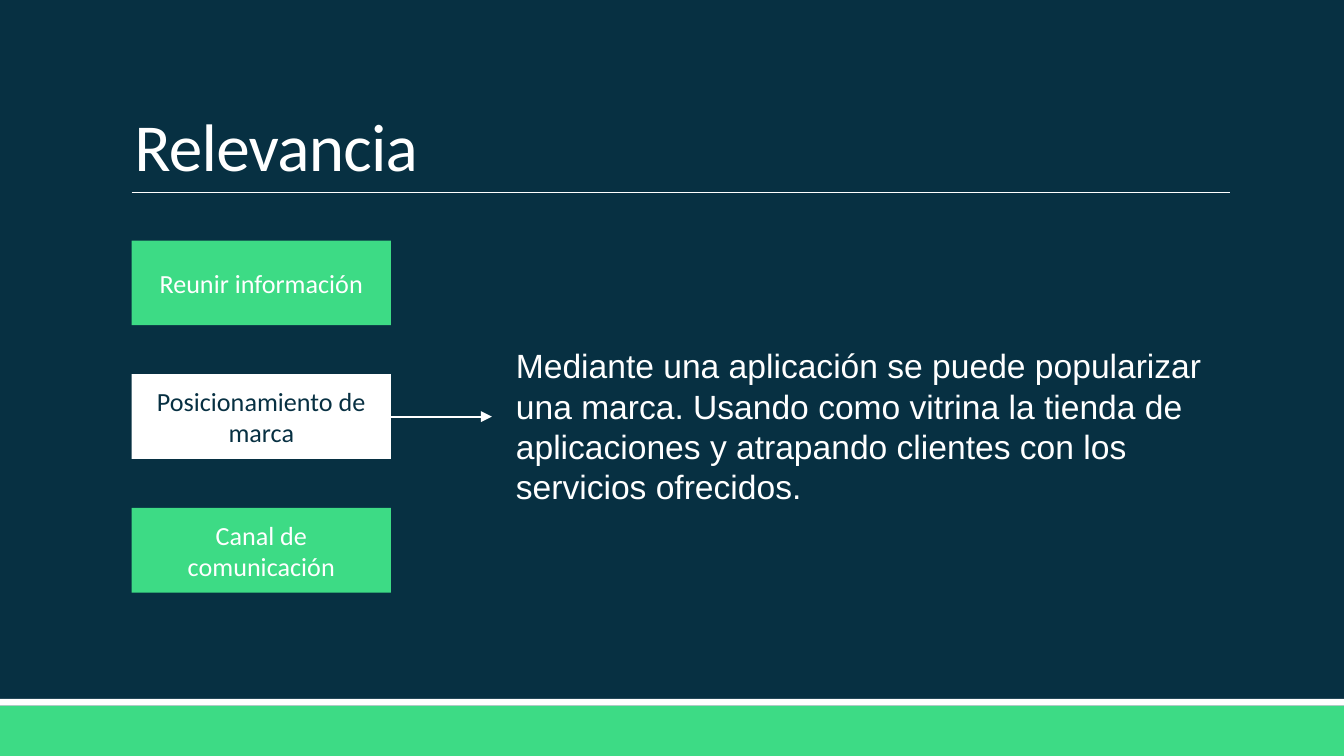
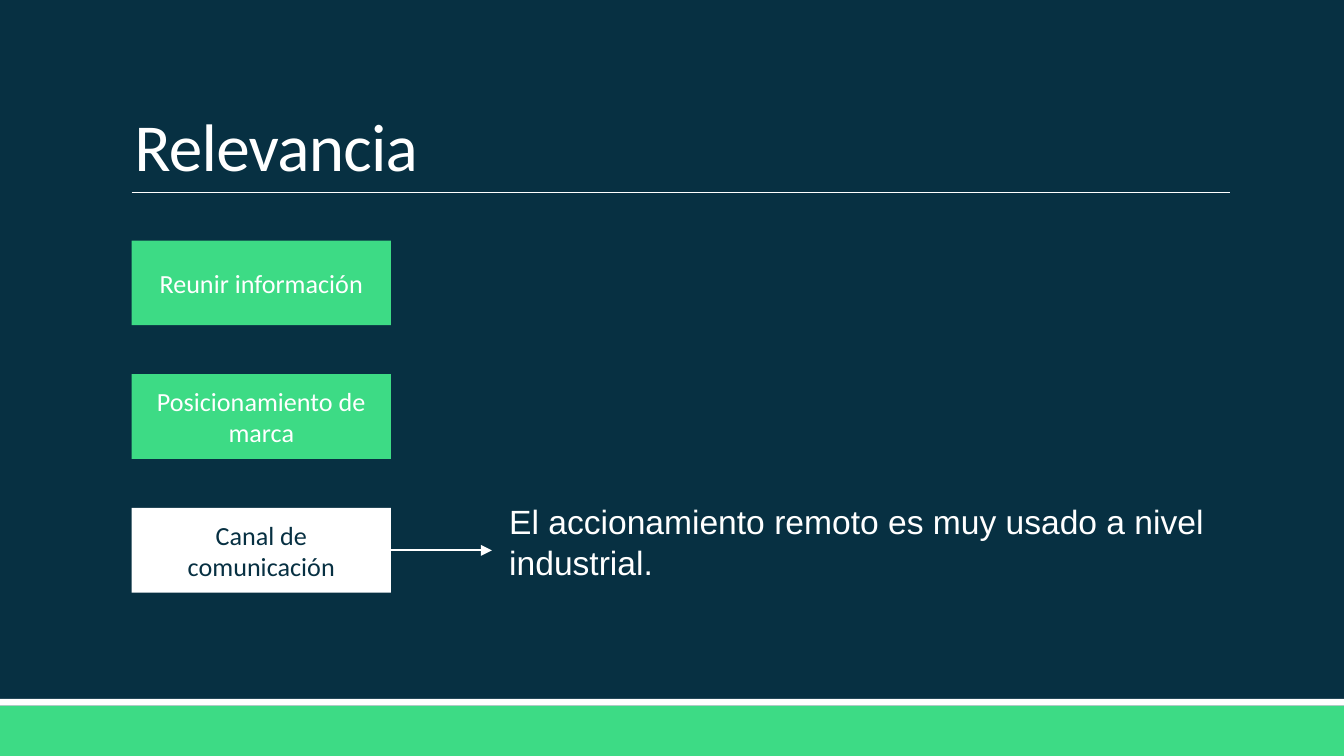
import pptx
import pptx.util
import pptx.dml.color
import pptx.enum.shapes
import pptx.enum.text
import pptx.oxml.ns
import lxml.etree

Inches = pptx.util.Inches
Pt = pptx.util.Pt
ALIGN = pptx.enum.text.PP_ALIGN
ANCHOR = pptx.enum.text.MSO_ANCHOR
AUTO_SIZE = pptx.enum.text.MSO_AUTO_SIZE
RECTANGLE = pptx.enum.shapes.MSO_SHAPE.RECTANGLE
STRAIGHT = pptx.enum.shapes.MSO_CONNECTOR.STRAIGHT
qn = pptx.oxml.ns.qn

COLOURS = {"navy": "073042", "green": "3DDB85", "white": "FFFFFF"}
RGB = {name: pptx.dml.color.RGBColor.from_string(code) for name, code in COLOURS.items()}


def write(frame, text, size=18, font="Calibri", colour="white", align=ALIGN.LEFT,
          anchor=ANCHOR.TOP, fit=AUTO_SIZE.NONE, line_spacing=None, tracking=None):
    """Fill a text frame with one formatted paragraph."""
    frame.word_wrap = True
    frame.auto_size = fit
    frame.vertical_anchor = anchor
    paragraph = frame.paragraphs[0]
    paragraph.alignment = align
    paragraph.line_spacing = line_spacing
    run = paragraph.add_run()
    run.text = text
    run.font.size = Pt(size)
    run.font.name = font
    run.font.color.rgb = RGB[colour]
    if tracking is not None:
        run.font._element.set("spc", str(round(tracking * 100)))


def style(shape, colour, line_width=None):
    """Colour a rectangle, or a line when a line width is given, and drop its shadow."""
    if line_width is None:
        shape.shadow.inherit = False
        shape.fill.solid()
        shape.fill.fore_color.rgb = RGB[colour]
        shape.line.fill.background()
    else:
        shape.line.color.rgb = RGB[colour]
        shape.line.width = Pt(line_width)
        lxml.etree.SubElement(shape.element.spPr, qn("a:effectLst"))


# Content: highlighted topic, its description and the description's place
TOPICS = ["Reunir información", "Posicionamiento de marca", "Canal de comunicación"]
SLIDES = [
    (1, "Mediante una aplicación se puede popularizar una marca. Usando como vitrina "
        "la tienda de aplicaciones y atrapando clientes con los servicios ofrecidos.",
     (3.74, 2.52, 5.41, 1.31)),
    (2, "El accionamiento remoto es muy usado a nivel industrial.",
     (3.69, 3.68, 5.65, 0.71)),
]
BANDS = [("green", 5.25, 0.38), ("white", 5.2, 0.05)]
LEFT, RIGHT = 0.98, 9.15
FIRST_TOPIC, LAST_TOPIC = 1.79, 3.78
TOPIC_STEP = (LAST_TOPIC - FIRST_TOPIC) / (len(TOPICS) - 1)
TOPIC_WIDTH, TOPIC_HEIGHT = 1.93, 0.63
ARROW_END = 3.66

# Widescreen deck, 16:9
deck = pptx.Presentation()
deck.slide_width = Inches(10)
deck.slide_height = deck.slide_width * 9 // 16
background = deck.slide_master.background.fill
background.solid()
background.fore_color.rgb = RGB["navy"]
title_only = deck.slide_layouts[5]

for highlighted, description, place in SLIDES:
    slide = deck.slides.add_slide(title_only)

    # Bottom bands and title rule
    for colour, top, height in BANDS:
        band = slide.shapes.add_shape(
            RECTANGLE, 0, Inches(top), deck.slide_width, Inches(height))
        style(band, colour)
    rule = slide.shapes.add_connector(
        STRAIGHT, Inches(LEFT), Inches(1.43), Inches(RIGHT), Inches(1.43))
    style(rule, "white", line_width=0.5)

    # Title
    title = slide.shapes.title
    title.left, title.top = Inches(0.9), Inches(0.24)
    title.width, title.height = Inches(8.25), Inches(1.19)
    write(title.text_frame, "Relevancia", size=36, anchor=ANCHOR.BOTTOM,
          line_spacing=0.85, tracking=-0.4)

    # Topic boxes, with the current one in white
    topic_boxes = []
    for row, topic in enumerate(TOPICS):
        box = slide.shapes.add_shape(
            RECTANGLE, Inches(LEFT), Inches(FIRST_TOPIC + row * TOPIC_STEP),
            Inches(TOPIC_WIDTH), Inches(TOPIC_HEIGHT))
        current = row == highlighted
        style(box, "white" if current else "green")
        write(box.text_frame, topic, size=14, colour="navy" if current else "white",
              align=ALIGN.CENTER, anchor=ANCHOR.MIDDLE)
        topic_boxes.append(box)

    # Description
    explanation = slide.shapes.add_textbox(*[Inches(length) for length in place])
    write(explanation.text_frame, description, font="Arial",
          fit=AUTO_SIZE.SHAPE_TO_FIT_TEXT)

    # Arrow from the current topic to its description
    source = topic_boxes[highlighted]
    middle = source.top + source.height // 2
    arrow = slide.shapes.add_connector(
        STRAIGHT, source.left + source.width, middle, Inches(ARROW_END), middle)
    arrow.begin_connect(source, 3)
    style(arrow, "white", line_width=1)
    lxml.etree.SubElement(arrow.line._get_or_add_ln(), qn("a:tailEnd"), type="triangle")

deck.save("out.pptx")
